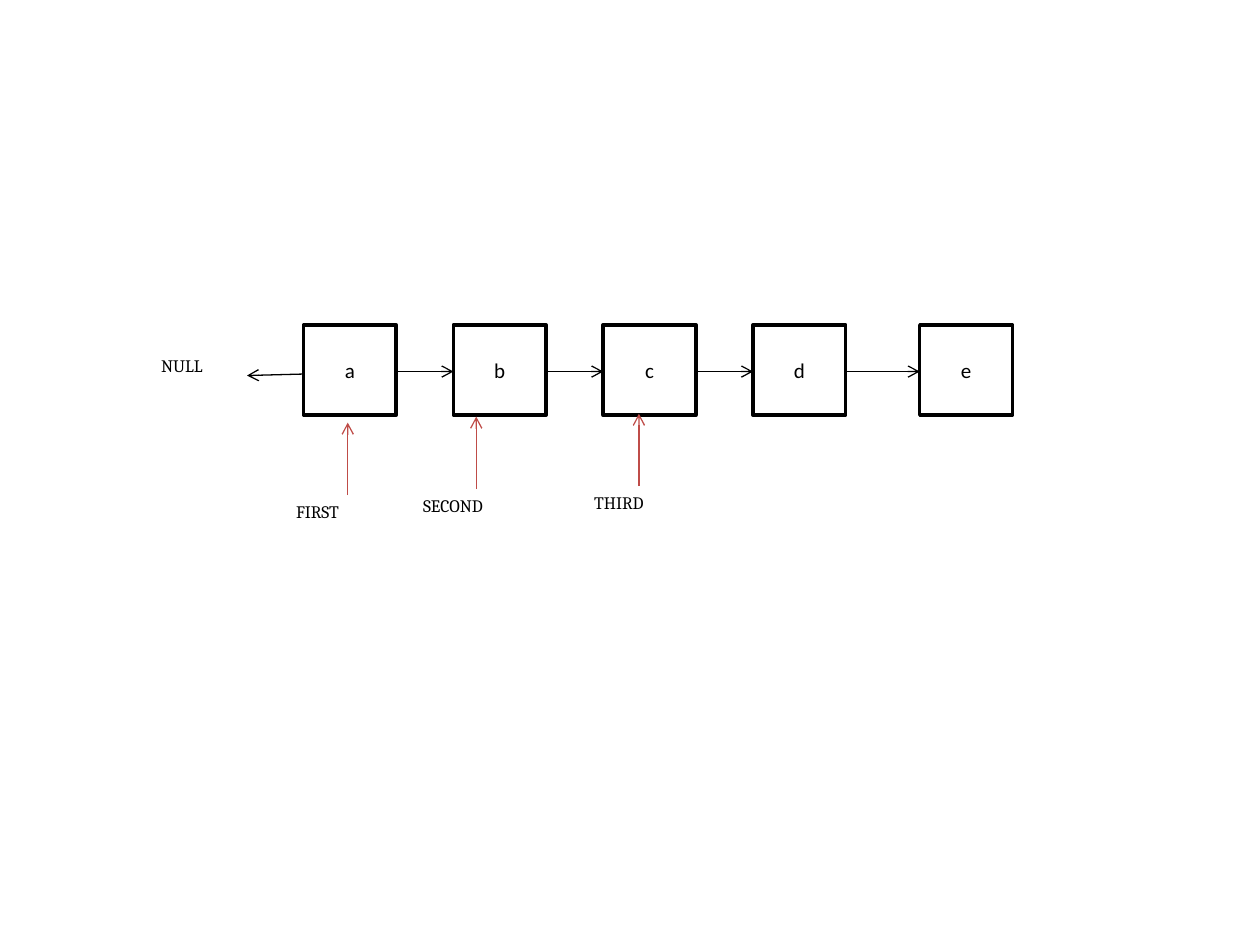
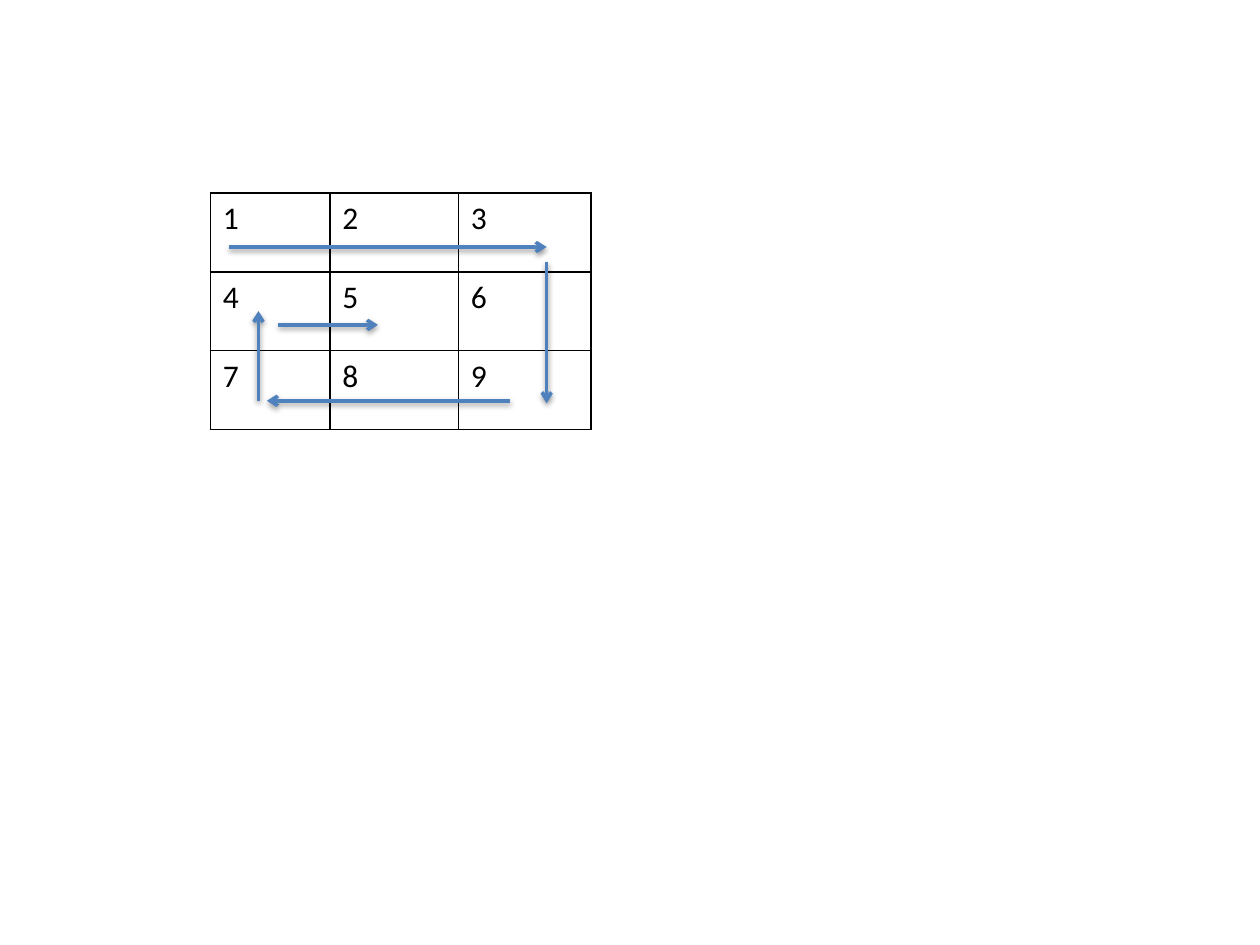
from lxml import etree
from pptx import Presentation
from pptx.dml.color import RGBColor
from pptx.enum.shapes import MSO_CONNECTOR, MSO_SHAPE
from pptx.enum.text import MSO_ANCHOR, PP_ALIGN
from pptx.oxml.ns import qn
from pptx.util import Cm, Pt

LINE = MSO_CONNECTOR.STRAIGHT
RECT = MSO_SHAPE.RECTANGLE
MIDDLE = MSO_ANCHOR.MIDDLE
CENTER = PP_ALIGN.CENTER
BLACK, WHITE, RED, BLUE = "black", "white", "red", "blue"
COLORS = {BLACK: "000000", WHITE: "FFFFFF", RED: "BF4C48", BLUE: "4F81BD"}


def rgb(name):
    return RGBColor.from_string(COLORS[name])


def style(para, font, size):
    para.font.name, para.font.size = font, Pt(size)
    para.font.color.rgb = rgb(BLACK)


def add_color(parent, name):
    return etree.SubElement(parent, qn("a:srgbClr"), val=COLORS[name])


def arrow(slide, start, end, color, width=0.75, shadow=False):
    line = slide.shapes.add_connector(LINE, *map(Cm, start + end))
    line.line.color.rgb = rgb(color)
    line.line.width = Pt(width)
    props = line.element.spPr
    etree.SubElement(props.get_or_add_ln(), qn("a:tailEnd"), type="arrow")
    effects = etree.SubElement(props, qn("a:effectLst"))
    if shadow:
        outer = etree.SubElement(effects, qn("a:outerShdw"), blurRad="40000",
                                 dist="20000", dir="5400000", rotWithShape="0")
        etree.SubElement(add_color(outer, BLACK), qn("a:alpha"), val="38000")


def label(slide, text, left, top, width):
    box = slide.shapes.add_textbox(Cm(left), Cm(top), Cm(width), Cm(1.07))
    box.text_frame.word_wrap = True
    box.text_frame.text = text
    style(box.text_frame.paragraphs[0], "Cambria", 10)


def node(slide, text, left, top, width, height):
    box = slide.shapes.add_shape(RECT, Cm(left), Cm(top), Cm(width), Cm(height))
    box.shadow.inherit = False
    box.fill.solid()
    box.fill.fore_color.rgb = rgb(WHITE)
    box.line.color.rgb = rgb(BLACK)
    box.line.width = Pt(2)
    frame = box.text_frame
    frame.vertical_anchor = MIDDLE
    frame.text = text
    frame.paragraphs[0].alignment = CENTER
    style(frame.paragraphs[0], "Calibri", 12)


def linked_list(slide, x, y):
    # Nodes: four at an equal step, the last one further off
    width, height, step = 1.87, 1.82, 3.02
    lefts = [x + i * step for i in range(4)] + [x + 12.42]
    for text, left in zip("abcde", lefts):
        node(slide, text, left, y, width, height)

    # Links between neighbours, and from the first node to NULL
    mid = y + 0.94
    for left, right in zip(lefts, lefts[1:]):
        arrow(slide, (left + width, mid), (right, mid), BLACK)
    arrow(slide, (x, y + 0.99), (x - 1.14, y + 1.02), BLACK)
    label(slide, "NULL", x - 3.12, y + 0.49, 2.01)

    # Pointers: name, arrow x, label x, label width, base y
    pointers = [("FIRST", 0.89, -0.4, 2.08, 3.43),
                ("SECOND", 3.48, 2.16, 2.64, 3.31),
                ("THIRD", 6.76, 5.61, 2.24, 3.25)]
    for name, at, left, wide, base in pointers:
        arrow(slide, (x + at, y + base), (x + at, y + base - 1.46), RED)
        label(slide, name, x + left, y + base, wide)


def border(cell):
    props = cell._tc.get_or_add_tcPr()
    for i, side in enumerate(("lnL", "lnR", "lnT", "lnB")):
        edge = etree.Element(qn("a:" + side), w=str(Pt(1)))
        add_color(etree.SubElement(edge, qn("a:solidFill")), BLACK)
        props.insert(i, edge)


def spiral(slide, x, y):
    # Number grid
    widths, height = (2.41, 2.59, 2.67), 1.59
    frame = slide.shapes.add_table(3, 3, Cm(x), Cm(y), Cm(sum(widths)),
                                   Cm(3 * height))
    table = frame.table
    table.first_row = table.horz_banding = False
    for col, width in zip(table.columns, widths):
        col.width = Cm(width)
    for row in table.rows:
        row.height = Cm(height)
    for number, cell in enumerate(table.iter_cells(), 1):
        cell.text = str(number)
        style(cell.text_frame.paragraphs[0], "Calibri", 18)
        cell.fill.background()
        border(cell)

    # Path through the grid, inwards
    for x1, y1, x2, y2 in [(0.38, 1.09, 6.78, 1.09), (6.78, 1.39, 6.78, 4.24),
                           (6.05, 4.19, 1.14, 4.19), (0.97, 4.19, 0.97, 2.38),
                           (1.37, 2.66, 3.38, 2.66)]:
        arrow(slide, (x + x1, y + y1), (x + x2, y + y2), BLUE, 2, True)


def main():
    deck = Presentation()
    deck.slide_width, deck.slide_height = Cm(25.4), Cm(19.05)
    blank = deck.slide_layouts[6]
    linked_list(deck.slides.add_slide(blank), 6.12, 6.55)
    spiral(deck.slides.add_slide(blank), 4.24, 3.89)
    deck.save("out.pptx")


if __name__ == "__main__":
    main()
